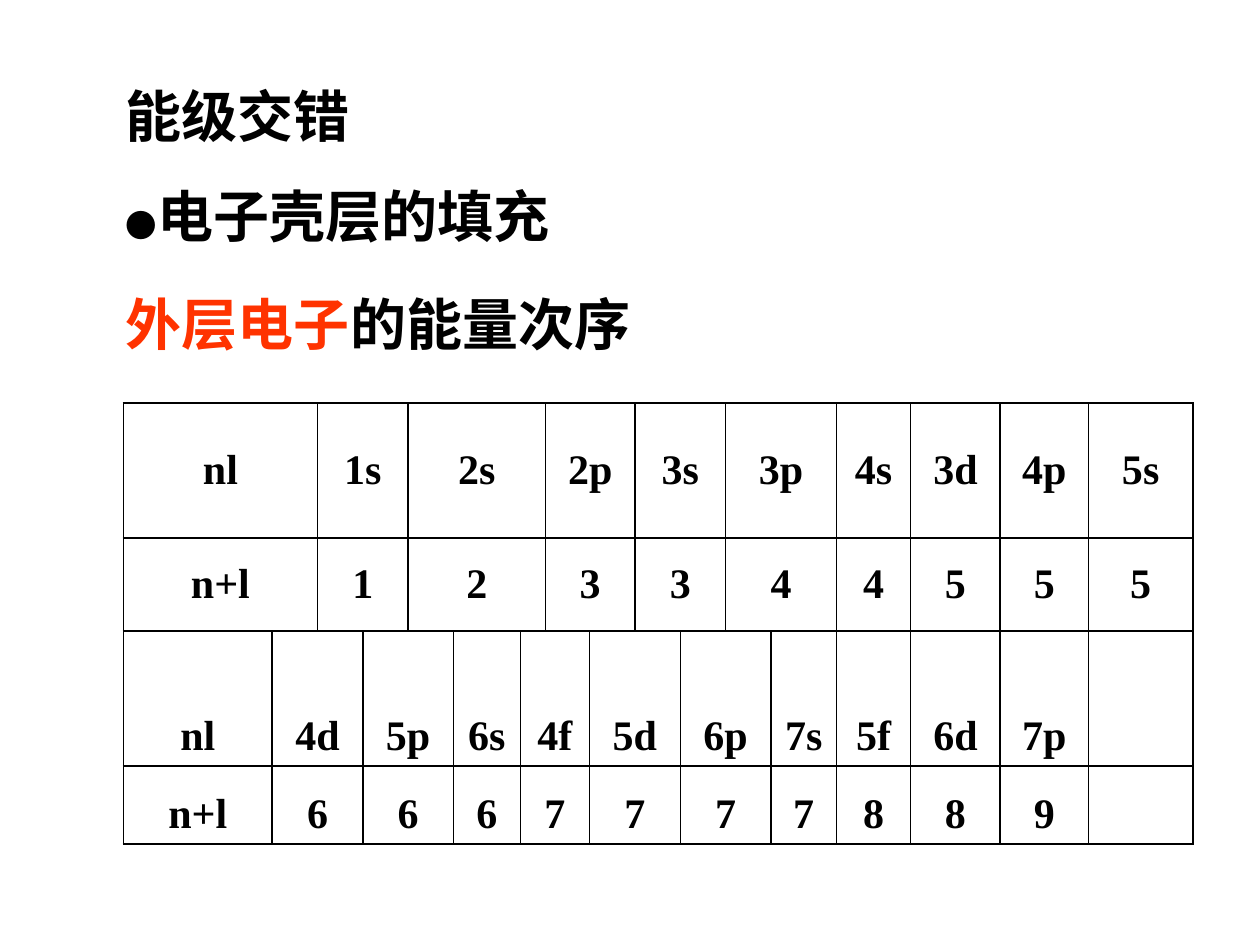
from lxml.etree import SubElement
from pptx import Presentation
from pptx.dml.color import RGBColor
from pptx.enum.text import MSO_ANCHOR, MSO_AUTO_SIZE, PP_ALIGN
from pptx.oxml.ns import qn
from pptx.util import Inches, Pt

BLACK, RED = "000000", "FF3300"
COLS = [1.18, 0.36, 0.36, 0.36, 0.36, 0.53, 0.2, 0.35, 0.36,
        0.36, 0.36, 0.36, 0.52, 0.59, 0.71, 0.7, 0.83]
ROWS = [1.07, 0.74, 1.07, 0.62]
UPPER_SPANS = [2, 2, 3, 2, 2, 2, 1, 1, 1, 1]
LOWER_SPANS = [1, 2, 2, 1, 2, 2, 2, 1, 1, 1, 1, 1]
LEVELS = [
    (UPPER_SPANS, MSO_ANCHOR.MIDDLE, ["nl", "1s", "2s", "2p", "3s", "3p", "4s", "3d", "4p", "5s"]),
    (UPPER_SPANS, MSO_ANCHOR.MIDDLE, ["n+l", "1", "2", "3", "3", "4", "4", "5", "5", "5"]),
    (LOWER_SPANS, MSO_ANCHOR.BOTTOM, ["nl", "4d", "5p", "6s", "4f", "5d", "6p", "7s", "5f", "6d", "7p", ""]),
    (LOWER_SPANS, MSO_ANCHOR.BOTTOM, ["n+l", "6", "6", "6", "7", "7", "7", "7", "8", "8", "9", ""]),
]


def rgb(value):
    return RGBColor.from_string(value)


def style(font, name, size, color):
    font.name = name
    font.size = Pt(size)
    font.bold = True
    font.color.rgb = rgb(color)


def add_heading(s, left, top, width, height, runs):
    box = s.shapes.add_textbox(Inches(left), Inches(top), Inches(width), Inches(height))
    tf = box.text_frame
    tf.word_wrap = True
    tf.auto_size = MSO_AUTO_SIZE.SHAPE_TO_FIT_TEXT
    p = tf.paragraphs[0]
    for text, size, color in runs:
        r = p.add_run()
        r.text = text
        style(r.font, "Arial", size, color)


def set_borders(cell, width, color):
    tcPr = cell._tc.get_or_add_tcPr()
    for side in ("L", "R", "T", "B"):
        ln = SubElement(tcPr, qn(f"a:ln{side}"), w=str(Pt(width)))
        fill = SubElement(ln, qn("a:solidFill"))
        SubElement(fill, qn("a:srgbClr"), val=color)


def add_level_table(s, left, top):
    frame = s.shapes.add_table(len(ROWS), len(COLS), Inches(left), Inches(top),
                               Inches(sum(COLS)), Inches(sum(ROWS)))
    table = frame.table
    for column, width in zip(table.columns, COLS):
        column.width = Inches(width)
    for row, height in zip(table.rows, ROWS):
        row.height = Inches(height)
    for cell in table.iter_cells():
        set_borders(cell, 1, BLACK)
        cell.fill.background()
    for i, (spans, anchor, texts) in enumerate(LEVELS):
        col = 0
        for span, text in zip(spans, texts):
            cell = table.cell(i, col)
            if span > 1:
                cell.merge(table.cell(i, col + span - 1))
            cell.vertical_anchor = anchor
            p = cell.text_frame.paragraphs[0]
            p.text = text
            p.alignment = PP_ALIGN.CENTER
            for r in p.runs:
                style(r.font, "Times New Roman", 24, BLACK)
            col += span


def main():
    prs = Presentation()
    prs.slide_width, prs.slide_height = Inches(10), Inches(7.5)
    s = prs.slides.add_slide(prs.slide_layouts[6])
    add_heading(s, 0.9, 0.6, 2.44, 0.63, [("能级交错", 32, BLACK)])
    add_heading(s, 0.9, 1.39, 4.41, 0.63, [("●", 18, BLACK), ("电子壳层的填充", 32, BLACK)])
    add_level_table(s, 0.98, 3.2)
    add_heading(s, 0.9, 2.25, 4.49, 0.63, [("外层电子", 32, RED), ("的能量次序", 32, BLACK)])
    prs.save("out.pptx")


if __name__ == "__main__":
    main()
